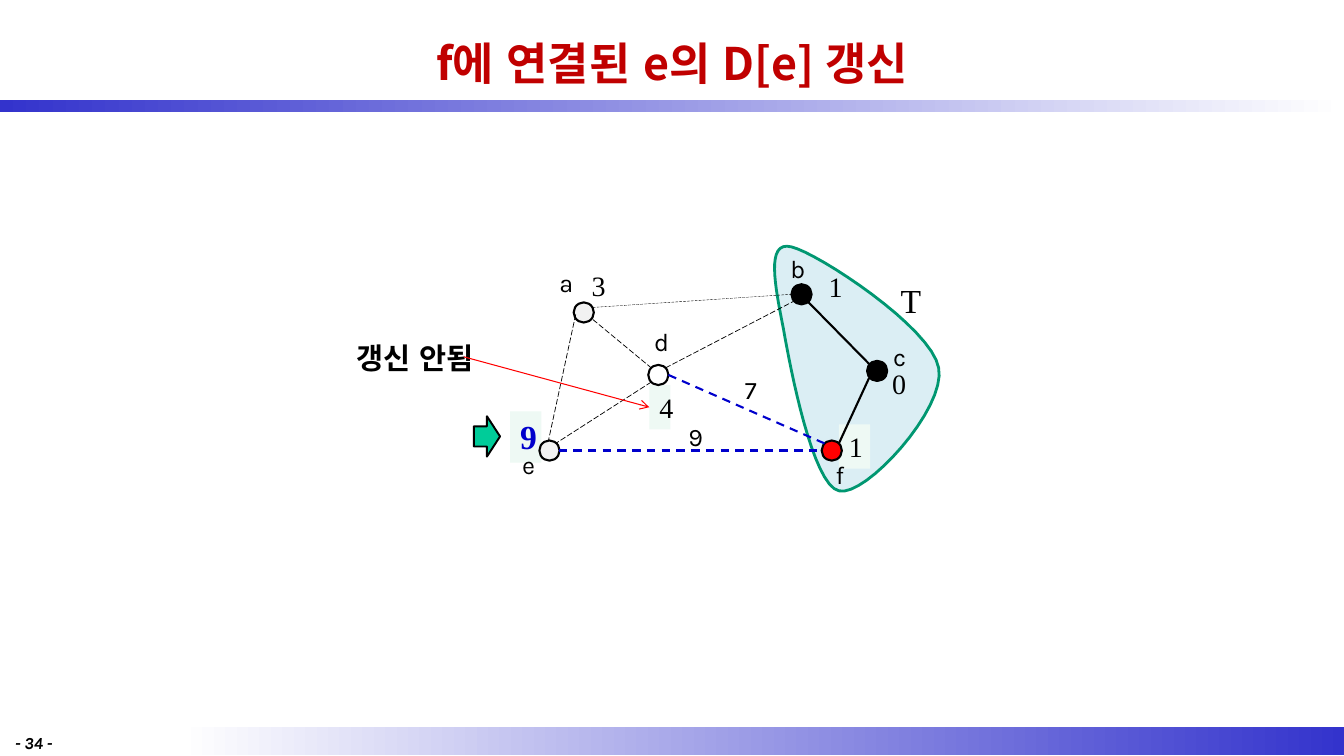
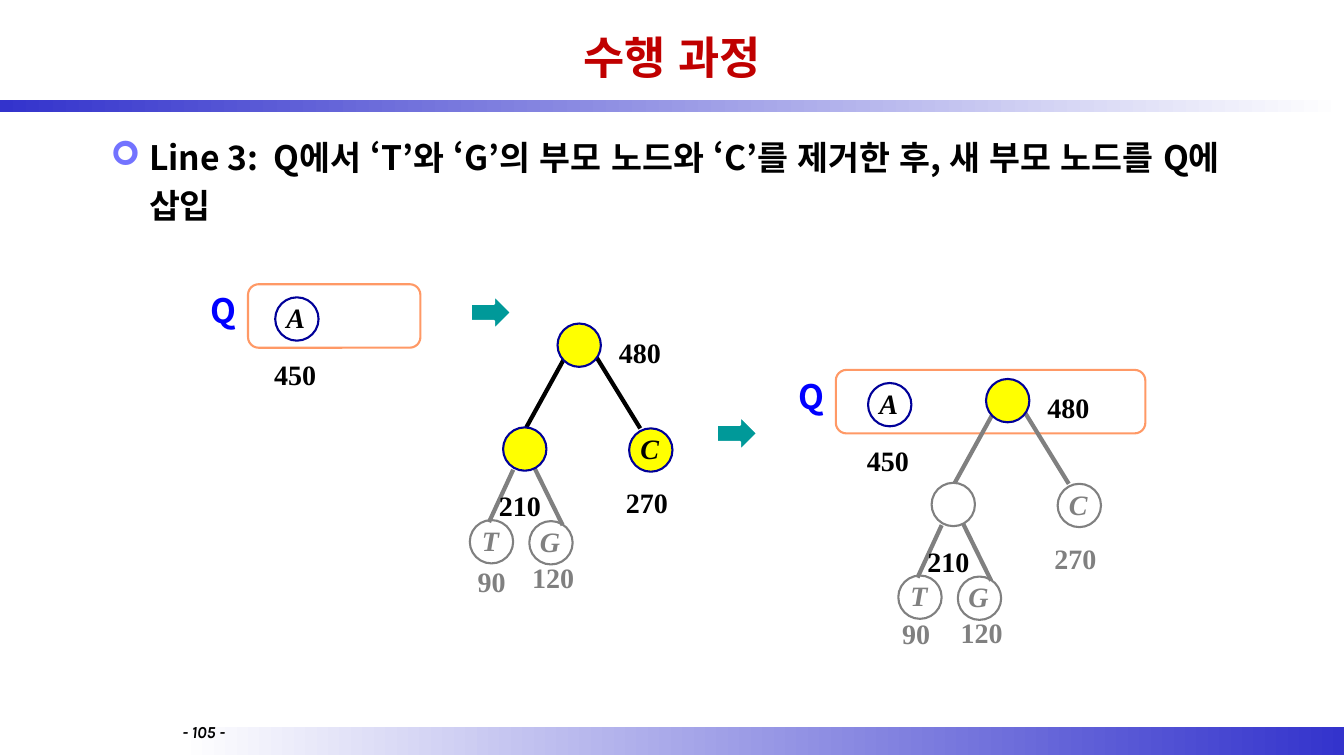
from lxml.etree import SubElement
from pptx import Presentation
from pptx.dml.color import RGBColor
from pptx.enum.dml import MSO_LINE
from pptx.enum.lang import MSO_LANGUAGE_ID
from pptx.enum.shapes import MSO_CONNECTOR, MSO_SHAPE
from pptx.enum.text import MSO_ANCHOR, PP_ALIGN
from pptx.oxml.ns import qn
from pptx.util import Inches, Pt

KOREAN, SANS, SERIF = "Noto Sans CJK KR", "Karla", "Times New Roman"
BLACK, WHITE, GRAY, RED = "000000", "FFFFFF", "808080", "FF0000"
BAND, TITLE, NAVY, YELLOW = "3333CC", "C00000", "000099", "FFFF00"
BLUE, MINT, PALE = "0000CC", "EEF9F4", "F2F2F2"


def rgb(color):
    """Turn a hex string into a colour."""
    return RGBColor.from_string(color)


def style(p, font, size, color, bold=False, italic=False):
    """Format every run of a paragraph."""
    for r in p.runs:
        r.font.size, r.font.bold, r.font.italic = Pt(size), bold, italic
        r.font.color.rgb = rgb(color)
        r.font.language_id = MSO_LANGUAGE_ID.KOREAN
        r.font.name = font
        SubElement(r._r.get_or_add_rPr(), qn("a:ea"), typeface=font)


def label(s, text, x, y, w, h, font=SERIF, size=20, color=BLACK, bold=False,
          italic=False, align=PP_ALIGN.LEFT, fill=None):
    """Add a text box and return it."""
    sp = s.shapes.add_textbox(Inches(x), Inches(y), Inches(w), Inches(h))
    tf = sp.text_frame
    tf.word_wrap = True
    tf.text = text
    tf.paragraphs[0].alignment = align
    style(tf.paragraphs[0], font, size, color, bold, italic)
    if fill:
        sp.fill.solid()
        sp.fill.fore_color.rgb = rgb(fill)
    return sp


def paint(sp, fill=None, line=None, width=1.5):
    """Set the fill and outline of a shape."""
    sp.shadow.inherit = False
    if fill:
        sp.fill.solid()
        sp.fill.fore_color.rgb = rgb(fill)
    else:
        sp.fill.background()
    if line:
        sp.line.color.rgb = rgb(line)
        sp.line.width = Pt(width)
    else:
        sp.line.fill.background()


def shape(s, kind, x, y, w, h, fill=None, line=None, width=1.5):
    """Add a preset shape and return it."""
    sp = s.shapes.add_shape(kind, Inches(x), Inches(y), Inches(w), Inches(h))
    paint(sp, fill, line, width)
    return sp


def edge(s, x1, y1, x2, y2, color=BLACK, width=1.5, dash=None, arrow=False):
    """Draw a straight line, with an arrowhead at its end if asked."""
    cn = s.shapes.add_connector(MSO_CONNECTOR.STRAIGHT, Inches(x1), Inches(y1),
                                Inches(x2), Inches(y2))
    cn.line.color.rgb = rgb(color)
    cn.line.width = Pt(width)
    if dash:
        cn.line.dash_style = dash
    spPr = cn.element.spPr
    if arrow:
        SubElement(spPr.find(qn("a:ln")), qn("a:tailEnd"), type="arrow")
    SubElement(spPr, qn("a:effectLst"))


def band(s, x, y, w, h, colors):
    """Draw a band that fades from left to right."""
    sp = shape(s, MSO_SHAPE.RECTANGLE, x, y, w, h)
    sp.fill.gradient()
    sp.fill.gradient_angle = 0
    for stop, color in zip(sp.fill.gradient_stops, colors):
        stop.color.rgb = rgb(color)


def base_slide(prs, title, number, number_x, number_y):
    """Add a slide with bands, title and page number."""
    s = prs.slides.add_slide(prs.slide_layouts[6])
    band(s, 1.78, 7.21, 11.56, 0.28, (WHITE, BAND))
    band(s, 0, 0.99, 13.33, 0.12, (BAND, WHITE))
    sp = label(s, title, 1, 0.05, 11.33, 1.03, KOREAN, 32, TITLE, True,
               align=PP_ALIGN.CENTER)
    sp.text_frame.vertical_anchor = MSO_ANCHOR.MIDDLE
    label(s, f"- {number} -", number_x, number_y, 0.95, 0.24, SANS, 12,
          bold=True, italic=True)
    return s, sp.text_frame.paragraphs[0]


def loosen(p):
    """Give a paragraph the wide line spacing."""
    p.line_spacing = 1.2
    p.space_after = Pt(6)


def tree_region(s, x, y):
    """Draw the closed curve around the finished tree."""
    start = (5.32, 2.87)
    curves = [((5.06, 2.81), (4.84, 1.66), (4.77, 1.26)),
              ((4.69, 0.85), (4.59, 0.38), (4.85, 0.45)),
              ((5.11, 0.51), (6.24, 1.25), (6.31, 1.65)),
              ((6.39, 2.05), (5.58, 2.94), start)]
    points, p0, steps = [], start, 16
    for p1, p2, p3 in curves:
        for i in range(1, steps + 1):
            t = i / steps
            u = 1 - t
            points.append(tuple(
                Inches(o + u**3 * a + 3 * u * u * t * b + 3 * u * t * t * c + t**3 * d)
                for o, a, b, c, d in zip((x, y), p0, p1, p2, p3)))
        p0 = p3
    fb = s.shapes.build_freeform(*points[-1])
    fb.add_line_segments(points[:-1], close=True)
    paint(fb.convert_to_shape(), "DBEEF4", "009771", 2)


def graph(s, x, y):
    """Draw the weighted graph with its distances."""
    center = PP_ALIGN.CENTER
    label(s, "9", x + 2.06, y + 2.08, 0.31, 0.51, size=24, color=BLUE, bold=True,
          align=center, fill=MINT)
    tree_region(s, x, y)
    for text, dx, dy, w, fill in [
            ("3", 2.77, 0.61, 0.31, None), ("1", 5.32, 2.21, 0.31, MINT),
            ("4", 3.44, 1.82, 0.21, MINT), ("0", 5.75, 1.59, 0.31, None),
            ("1", 5.12, 0.62, 0.31, None)]:
        label(s, text, x + dx, y + dy, w, 0.44, align=center, fill=fill)
    label(s, "T", x + 5.76, y + 0.73, 0.55, 0.5, size=24, align=center)

    for dx, dy, fill in [(4.85, 0.82, BLACK), (3.43, 1.62, WHITE), (2.35, 2.37, PALE),
                         (5.6, 1.58, BLACK), (5.15, 2.37, RED), (2.69, 1, PALE)]:
        shape(s, MSO_SHAPE.OVAL, x + dx, y + dy, 0.2, 0.2, fill, BLACK)

    thin = (BLACK, 0.5, MSO_LINE.LONG_DASH)
    faint = (BLACK, 0.25, MSO_LINE.LONG_DASH)
    candidate = (BLUE, 1.5, MSO_LINE.DASH)
    for x1, y1, x2, y2, look in [
            (3.46, 1.79, 2.51, 2.4, thin), (2.71, 1.12, 2.44, 2.37, thin),
            (3.63, 1.72, 5.18, 2.4, candidate), (2.54, 2.47, 5.15, 2.47, candidate),
            (2.88, 1.05, 4.85, 0.92, faint), (3.6, 1.65, 4.87, 0.99, thin),
            (5.62, 1.61, 5.01, 0.99, ()), (5.32, 2.4, 5.62, 1.75, ()),
            (2.88, 1.17, 3.46, 1.65, thin)]:
        edge(s, x + x1, y + y1, x + x2, y + y2, *look)

    for text, dx, dy in [("a", 2.45, 0.6), ("b", 4.74, 0.46), ("c", 5.76, 1.34),
                         ("d", 3.39, 1.19), ("e", 2.08, 2.41), ("f", 5.19, 2.51),
                         ("9", 3.73, 2.13), ("7", 4.29, 1.66)]:
        label(s, text, x + dx, y + dy, 0.34, 0.4, SANS, 18)

    label(s, "갱신 안됨", x + 0.44, y + 1.32, 1.73, 0.45, KOREAN, 21, bold=True)
    edge(s, x + 1.6, y + 1.54, x + 3.44, y + 2.04, RED, 0.75, arrow=True)
    shape(s, MSO_SHAPE.RIGHT_ARROW, x + 1.7, y + 2.13, 0.26, 0.4, "00CC99", BLACK, 1.38)


def node(s, x, y, letter="", fill=None, line=GRAY, color=GRAY):
    """Draw a round tree node with its letter."""
    sp = shape(s, MSO_SHAPE.OVAL, x, y, 0.43, 0.43, fill, line)
    if letter:
        tf = sp.text_frame
        tf.margin_left = tf.margin_top = 0
        tf.margin_right, tf.margin_bottom = Inches(0.02), Inches(0.03)
        tf.word_wrap = False
        tf.vertical_anchor = MSO_ANCHOR.MIDDLE
        tf.text = letter
        tf.paragraphs[0].alignment = PP_ALIGN.CENTER
        style(tf.paragraphs[0], SERIF, 20, color, True, True)


def count(s, text, x, y, color=BLACK):
    """Write a frequency."""
    label(s, text, x, y, 0.74, 0.44, color=color, bold=True)


def queue(s, x, y, w, inset):
    """Draw the queue frame with the node A at the given inset."""
    node(s, x + inset, y + 0.13, "A", line=NAVY, color=BLACK)
    count(s, "450", x + inset - 0.11, y + 0.68)
    sp = shape(s, MSO_SHAPE.ROUNDED_RECTANGLE, x, y, w, 0.63, line="FF9966")
    sp.adjustments[0] = 0.167
    label(s, "Q", x - 0.47, y + 0.01, 0.5, 0.5, KOREAN, 24, "0000FF", True)


def huffman_tree(s, x, y, active, ninety):
    """Draw the tree from its root's corner, its middle row lit if active."""
    ink = BLACK if active else GRAY
    fill, line = (YELLOW, NAVY) if active else (None, GRAY)
    for x1, y1, x2, y2, color in [
            (0.07, 0.34, -0.31, 1.03, ink), (0.39, 0.34, 0.82, 1.04, ink),
            (-0.44, 1.45, -0.68, 1.97, GRAY), (-0.23, 1.43, 0.05, 2, GRAY)]:
        edge(s, x + x1, y + y1, x + x2, y + y2, color, 3)
    node(s, x, y, fill=YELLOW, line=NAVY)
    node(s, x - 0.54, y + 1.03, fill=fill or WHITE, line=line)
    node(s, x + 0.71, y + 1.04, "C", fill, line, ink)
    node(s, x - 0.87, y + 1.95, "T")
    node(s, x - 0.28, y + 1.96, "G")
    for text, dx, dy, color in [
            ("480", 0.51, 0.07, BLACK), ("270", 0.58, 1.56, ink),
            ("210", -0.68, 1.59, BLACK), ("120", -0.35, 2.3, GRAY),
            ("90", *ninety, GRAY)]:
        count(s, text, x + dx, y + dy, color)


def bullet_text(s, text, x, y, w, h):
    """Write the body paragraph with its arrow bullet."""
    sp = label(s, text, x, y, w, h, KOREAN, 24, bold=True)
    p = sp.text_frame.paragraphs[0]
    pPr = p._p.get_or_add_pPr()
    pPr.set("marL", str(Inches(0.38)))
    pPr.set("indent", str(-Inches(0.38)))
    SubElement(SubElement(pPr, qn("a:buClr")), qn("a:srgbClr"), val="7373FF")
    SubElement(pPr, qn("a:buFont"), typeface="Wingdings")
    SubElement(pPr, qn("a:buChar"), char="➢")
    loosen(p)


def graph_slide(prs):
    """Build the slide that updates D[e]."""
    s, p = base_slide(prs, "f에 연결된 e의 D[e] 갱신", 34, 0.05, 7.22)
    loosen(p)
    graph(s, 3, 2)


def huffman_slide(prs):
    """Build the slide that merges two nodes of the queue."""
    s, _ = base_slide(prs, "수행 과정", 105, 1.71, 7.11)
    bullet_text(s, "Line 3:  Q에서 ‘T’와 ‘G’의 부모 노드와 ‘C’를 제거한 후, 새 부모 노드를 Q에 삽입",
                1, 1.23, 11.33, 5.98)
    queue(s, 2.46, 2.82, 1.71, 0.27)
    queue(s, 8.29, 3.67, 3.07, 0.32)
    huffman_tree(s, 9.78, 3.76, False, (-0.93, 2.31))
    huffman_tree(s, 5.53, 3.21, True, (-0.89, 2.34))
    for x, y in [(4.67, 2.93), (7.11, 4.13)]:
        shape(s, MSO_SHAPE.RIGHT_ARROW, x, y, 0.4, 0.34, "009999", WHITE)


def main():
    """Build and save the presentation."""
    prs = Presentation()
    prs.slide_width, prs.slide_height = Inches(13.33), Inches(7.5)
    graph_slide(prs)
    huffman_slide(prs)
    prs.save("out.pptx")


if __name__ == "__main__":
    main()
